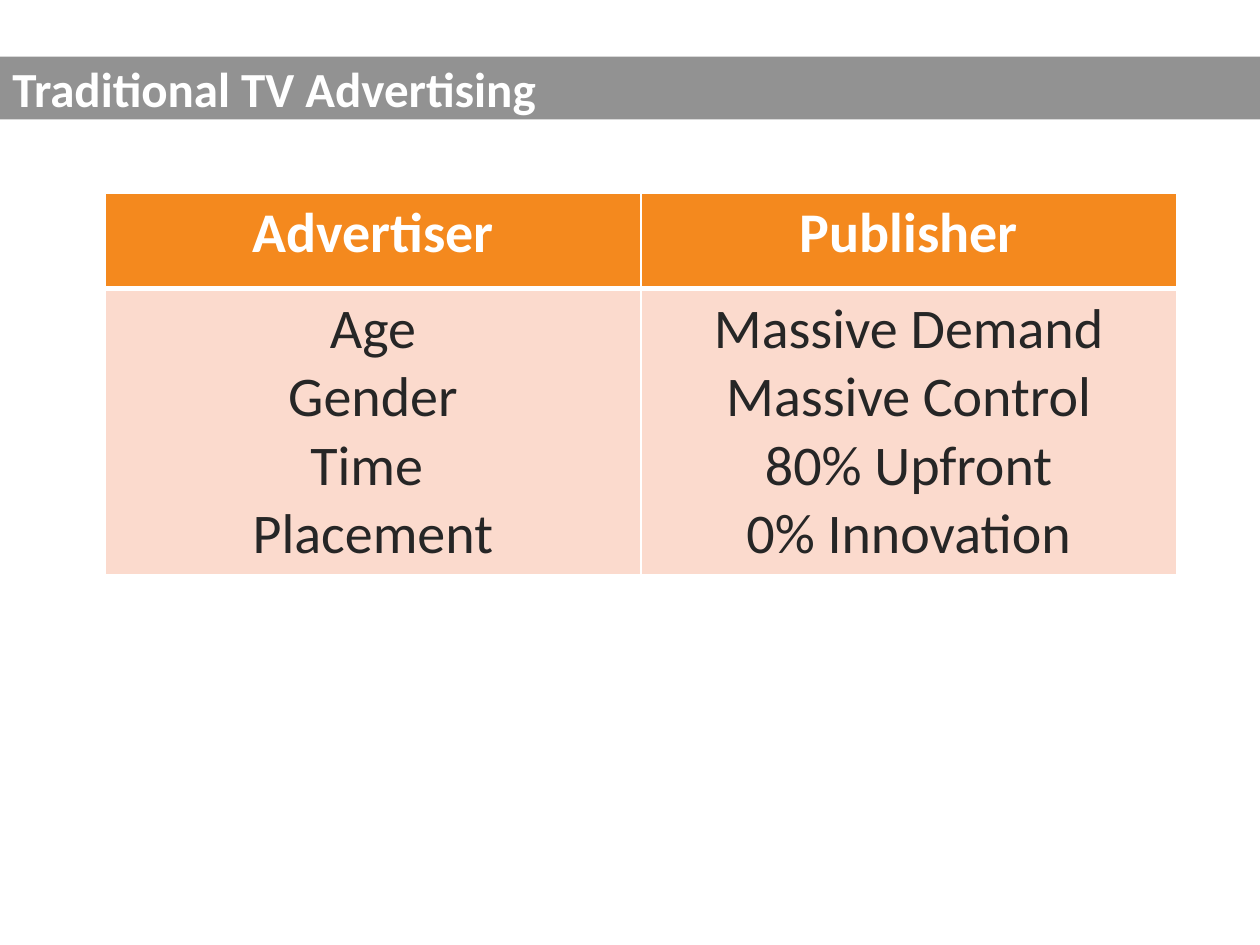
from dataclasses import dataclass

import lxml.etree
import pptx
import pptx.dml.color
import pptx.enum.shapes
import pptx.enum.text
import pptx.oxml.ns
import pptx.util

Cm = pptx.util.Cm
Pt = pptx.util.Pt

COLORS = {
    "white": "FFFFFF",
    "title_band": "929292",
    "header": "F4891E",
    "body": "FBDACD",
    "text": "262626",
}


@dataclass(frozen=True)
class RowStyle:
    height: float
    fill: str
    color: str
    bold: bool
    borders: dict[str, float]


@dataclass(frozen=True)
class Side:
    heading: str
    points: tuple[str, ...]


HEADER = RowStyle(1.93, "header", "white", True, {"lnL": 1, "lnR": 1, "lnT": 1, "lnB": 3})
BODY = RowStyle(5.67, "body", "text", False, {"lnL": 1, "lnR": 1, "lnT": 3, "lnB": 1})
SIDES = (
    Side("Advertiser", ("Age", "Gender", "Time ", "Placement")),
    Side("Publisher", ("Massive Demand", "Massive Control", "80% Upfront", "0% Innovation")),
)
COLUMN_WIDTH = 10.8


def rgb(color: str) -> pptx.dml.color.RGBColor:
    return pptx.dml.color.RGBColor.from_string(COLORS[color])


def write_lines(frame, lines: tuple[str, ...], size: float, color: str, bold: bool, align) -> None:
    font_format = {"name": "Calibri", "size": Pt(size), "bold": bold}
    for index, line in enumerate(lines):
        paragraph = frame.paragraphs[0] if index == 0 else frame.add_paragraph()
        paragraph.alignment = align
        run = paragraph.add_run()
        run.text = line
        for attribute, value in font_format.items():
            setattr(run.font, attribute, value)
        run.font.color.rgb = rgb(color)


def add_borders(cell, borders: dict[str, float]) -> None:
    """Draw white cell edges; must run before the cell is filled."""
    qn = pptx.oxml.ns.qn
    properties = cell._tc.get_or_add_tcPr()
    for edge, width in borders.items():
        line = lxml.etree.SubElement(properties, qn(f"a:{edge}"), w=str(Pt(width)))
        fill = lxml.etree.SubElement(line, qn("a:solidFill"))
        lxml.etree.SubElement(fill, qn("a:srgbClr"), val=COLORS["white"])


def fill_cell(cell, lines: tuple[str, ...], style: RowStyle) -> None:
    add_borders(cell, style.borders)
    cell.fill.solid()
    cell.fill.fore_color.rgb = rgb(style.fill)
    write_lines(cell.text_frame, lines, 32, style.color, style.bold,
                pptx.enum.text.PP_ALIGN.CENTER)


def add_title(slide, title: str) -> None:
    band = slide.shapes.add_shape(
        pptx.enum.shapes.MSO_SHAPE.RECTANGLE, Cm(0), Cm(1.14), Cm(25.4), Cm(1.27))
    band.shadow.inherit = False
    band.fill.solid()
    band.fill.fore_color.rgb = rgb("title_band")
    band.line.fill.background()
    band.text_frame.vertical_anchor = pptx.enum.text.MSO_ANCHOR.MIDDLE
    write_lines(band.text_frame, (title,), 28, "white", True, pptx.enum.text.PP_ALIGN.LEFT)


def add_comparison(slide, sides: tuple[Side, ...]) -> None:
    comparison = slide.shapes.add_table(
        2, len(sides), Cm(2.12), Cm(3.89),
        Cm(COLUMN_WIDTH * len(sides)), Cm(HEADER.height + BODY.height)).table
    for row, style in zip(comparison.rows, (HEADER, BODY)):
        row.height = Cm(style.height)
    for column, side in enumerate(sides):
        comparison.columns[column].width = Cm(COLUMN_WIDTH)
        fill_cell(comparison.cell(0, column), (side.heading,), HEADER)
        fill_cell(comparison.cell(1, column), side.points, BODY)


def main() -> None:
    presentation = pptx.Presentation()
    presentation.slide_width = Cm(25.4)
    presentation.slide_height = Cm(19.05)
    slide = presentation.slides.add_slide(presentation.slide_layouts[6])
    add_title(slide, "Traditional TV Advertising")
    add_comparison(slide, SIDES)
    presentation.save("out.pptx")


if __name__ == "__main__":
    main()
